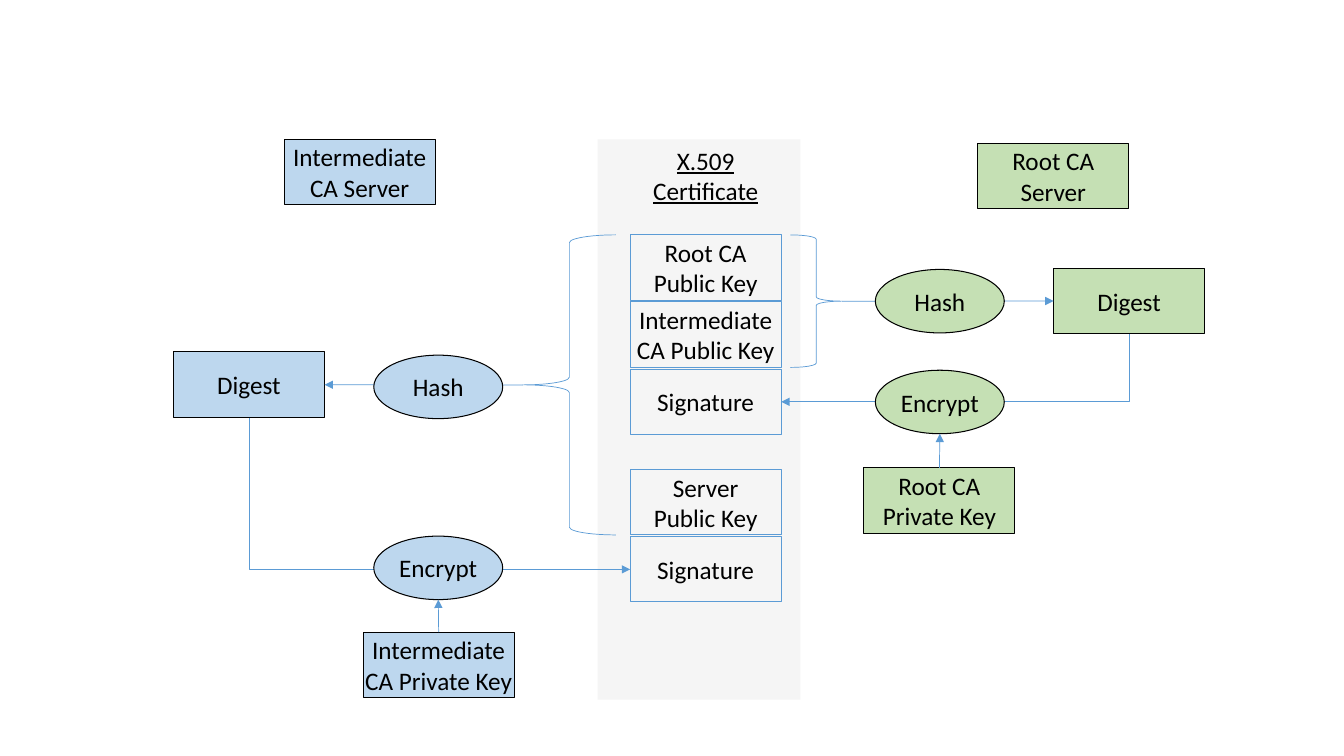
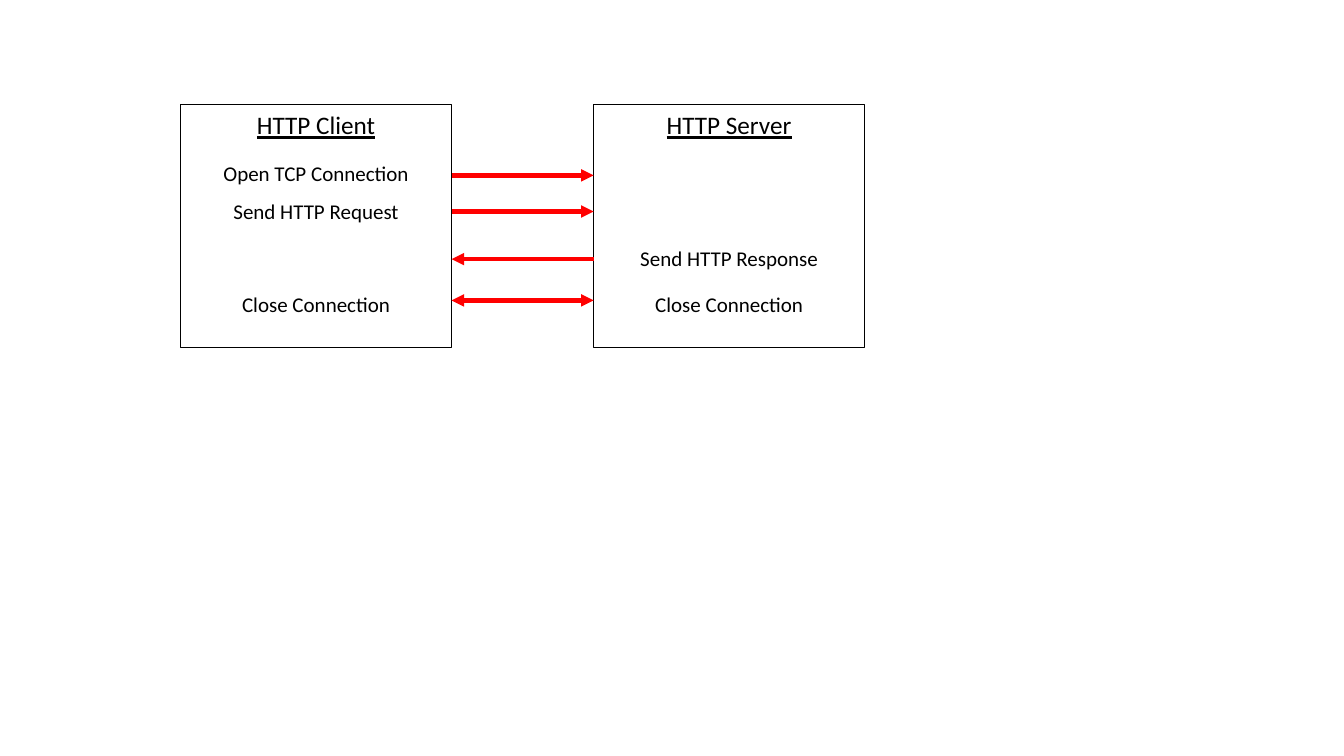
from dataclasses import dataclass

from lxml import etree
from pptx import Presentation
from pptx.dml.color import RGBColor as RGB
from pptx.enum.shapes import MSO_CONNECTOR as LINE, MSO_SHAPE as SHAPE
from pptx.enum.text import MSO_ANCHOR as ANCHOR, PP_ALIGN as ALIGN
from pptx.oxml.ns import qn
from pptx.util import Cm, Pt


@dataclass(frozen=True)
class Theme:
    font: str = "Calibri"
    label: float = 18
    caption: float = 15
    thin: float = 0.5
    outline: float = 0.75
    thick: float = 3
    black: RGB = RGB(0, 0, 0)
    accent: RGB = RGB(0x5B, 0x9B, 0xD5)
    blue: RGB = RGB(0xBD, 0xD7, 0xEE)
    green: RGB = RGB(0xC5, 0xE0, 0xB4)
    grey: RGB = RGB(0xE7, 0xE6, 0xE6)
    red: RGB = RGB(0xFF, 0, 0)


T = Theme()
BOX = (Cm(3.81), Cm(1.65))
OVAL = (Cm(3.25), Cm(1.6))


# Shared parts
def write(sp, text, size=T.label, underline=False, tight=True, wrap=False,
          anchor=ANCHOR.MIDDLE):
    tf = sp.text_frame
    tf.word_wrap = wrap
    tf.vertical_anchor = anchor
    if tight:
        tf.margin_left = tf.margin_right = tf.margin_top = tf.margin_bottom = 0
    for i, line in enumerate(text.split("\n")):
        p = tf.paragraphs[0] if i == 0 else tf.add_paragraph()
        p.alignment = ALIGN.CENTER
        r = p.add_run()
        r.text = line
        r.font.name, r.font.size = T.font, Pt(size)
        r.font.color.rgb = T.black
        if underline:
            r.font.underline = True


def shape(s, kind, x, y, size, fill=None, line=None, width=T.outline):
    sp = s.shapes.add_shape(kind, x, y, *size)
    sp.shadow.inherit = False
    if fill is None:
        sp.fill.background()
    else:
        sp.fill.solid()
        sp.fill.fore_color.rgb = fill
    if line is None:
        sp.line.fill.background()
    else:
        sp.line.color.rgb = line
        sp.line.width = Pt(width)
    return sp


def node(s, kind, x, y, size, text, fill=None, line=T.black):
    sp = shape(s, kind, x, y, size, fill, line)
    write(sp, text)
    return sp


def arrow(s, start, end, color=T.accent, width=T.thin, ends=("tailEnd",),
          kind=LINE.STRAIGHT):
    c = s.shapes.add_connector(kind, *start, *end)
    c.line.color.rgb = color
    c.line.width = Pt(width)
    ln = c.line._get_or_add_ln()
    for end_name in ends:
        etree.SubElement(ln, qn("a:" + end_name), type="triangle")
    etree.SubElement(c.element.spPr, qn("a:effectLst"))
    return c


def corner_arrow(s, start, end):
    """Run vertically from start, then horizontally to end."""
    (x1, y1), (x2, y2) = start, end
    cx, cy = (x1 + x2) // 2, (y1 + y2) // 2
    half_w, half_h = (y2 - y1) // 2, (x2 - x1) // 2
    # A quarter turn swaps the two axes of the preset
    c = arrow(s, (cx - half_w, cy + half_h), (cx + half_w, cy - half_h),
              kind=LINE.ELBOW)
    sp_pr = c.element.spPr
    sp_pr.find(qn("a:xfrm")).set("rot", str(90 * 60000))
    sp_pr.find(qn("a:prstGeom")).set("prst", "bentConnector2")


def mid_x(sp):
    return sp.left + sp.width // 2


def mid_y(sp):
    return sp.top + sp.height // 2


# Certificate column; returns its fields from top to bottom
def certificate(s, x, y, w, h):
    panel = shape(s, SHAPE.RECTANGLE, x, y, (w, h), T.grey)
    clr = panel.element.spPr.find(qn("a:solidFill"))[0]
    etree.SubElement(clr, qn("a:alpha"), val="40000")
    left = x + Cm(0.82)
    title = s.shapes.add_textbox(left, y + Cm(0.08), *BOX)
    write(title, "X.509\nCertificate", underline=True)
    pitch = Cm(1.69)
    groups = [
        (Cm(2.41), ["Root CA\nPublic Key", "Intermediate\nCA Public Key", "Signature"]),
        (Cm(8.32), ["Server\nPublic Key", "Signature"]),
    ]
    return [node(s, SHAPE.RECTANGLE, left, y + top + i * pitch, BOX, text,
                 line=T.accent)
            for top, texts in groups for i, text in enumerate(texts)]


# One signing authority; offsets place its parts from the corner x, y
def authority(s, x, y, name, fill, offsets, hashed, signature, brace_w, gap):
    def place(part, kind, size, text):
        dx, dy = offsets[part]
        return node(s, kind, x + Cm(dx), y + Cm(dy), size, text, fill)

    place("server", SHAPE.RECTANGLE, BOX, name[0])
    digest = place("digest", SHAPE.RECTANGLE, BOX, "Digest")
    key = place("key", SHAPE.RECTANGLE, BOX, name[1])

    # Brace around the hashed fields
    first, last = hashed
    on_left = digest.left < first.left
    brace_x = first.left - gap - brace_w if on_left else first.left + first.width + gap
    brace = shape(s, SHAPE.LEFT_BRACE if on_left else SHAPE.RIGHT_BRACE,
                  brace_x, first.top, (brace_w, last.top + last.height - first.top),
                  line=T.accent, width=T.thin)

    # Flows pass behind the ovals
    tip = brace.left if on_left else brace.left + brace.width
    digest_side = digest.left + digest.width if on_left else digest.left
    field_side = signature.left if on_left else signature.left + signature.width
    arrow(s, (tip, mid_y(brace)), (digest_side, mid_y(digest)))
    corner_arrow(s, (mid_x(digest), digest.top + digest.height),
                 (field_side, mid_y(signature)))
    place("hash", SHAPE.OVAL, OVAL, "Hash")
    encrypt = place("encrypt", SHAPE.OVAL, OVAL, "Encrypt")
    arrow(s, (mid_x(key), key.top), (mid_x(encrypt), encrypt.top + encrypt.height))


def signing_slide(s):
    root, inter, root_sign, server, inter_sign = certificate(
        s, Cm(15.06), Cm(3.51), Cm(5.11), Cm(14.12))
    authority(s, Cm(4.37), Cm(3.51),
              ("Intermediate\nCA Server", "Intermediate\nCA Private Key"), T.blue,
              {"server": (2.79, 0), "digest": (0, 5.36), "hash": (5.05, 5.44),
               "encrypt": (5.05, 10), "key": (4.78, 12.42)},
              (root, server), inter_sign, Cm(2.34), Cm(0.36))
    authority(s, Cm(21.77), Cm(3.61),
              ("Root CA\nServer", "Root CA\nPrivate Key"), T.green,
              {"server": (2.87, 0), "digest": (4.78, 3.15), "hash": (0.29, 3.18),
               "encrypt": (0.29, 5.72), "key": (0, 8.18)},
              (root, inter), root_sign, Cm(1.3), Cm(0.23))


# One party of the exchange: titled frame with captions at given heights
def party(s, x, y, w, h, title, steps):
    frame = shape(s, SHAPE.RECTANGLE, x, y, (w, h), line=T.black)
    write(frame, title, underline=True, tight=False, anchor=ANCHOR.TOP)
    for top, text in steps:
        caption = s.shapes.add_textbox(x, y + Cm(top), w, Cm(0.89))
        write(caption, text, T.caption, tight=False, wrap=True, anchor=ANCHOR.TOP)


def exchange_slide(s):
    x, y, w, h, gap = Cm(4.55), Cm(2.64), Cm(6.83), Cm(6.12), Cm(3.58)
    close = (4.57, "Close Connection")
    party(s, x, y, w, h, "HTTP Client",
          [(1.27, "Open TCP Connection"), (2.24, "Send HTTP Request"), close])
    party(s, x + w + gap, y, w, h, "HTTP Server",
          [(3.43, "Send HTTP Response"), close])
    for dy, ends in [(1.78, ("tailEnd",)), (2.69, ("tailEnd",)),
                     (3.89, ("headEnd",)), (4.93, ("headEnd", "tailEnd"))]:
        arrow(s, (x + w, y + Cm(dy)), (x + w + gap, y + Cm(dy)),
              T.red, T.thick, ends)


prs = Presentation()
prs.slide_width, prs.slide_height = Cm(33.87), Cm(19.05)
for build in (signing_slide, exchange_slide):
    build(prs.slides.add_slide(prs.slide_layouts[6]))
prs.save("out.pptx")
